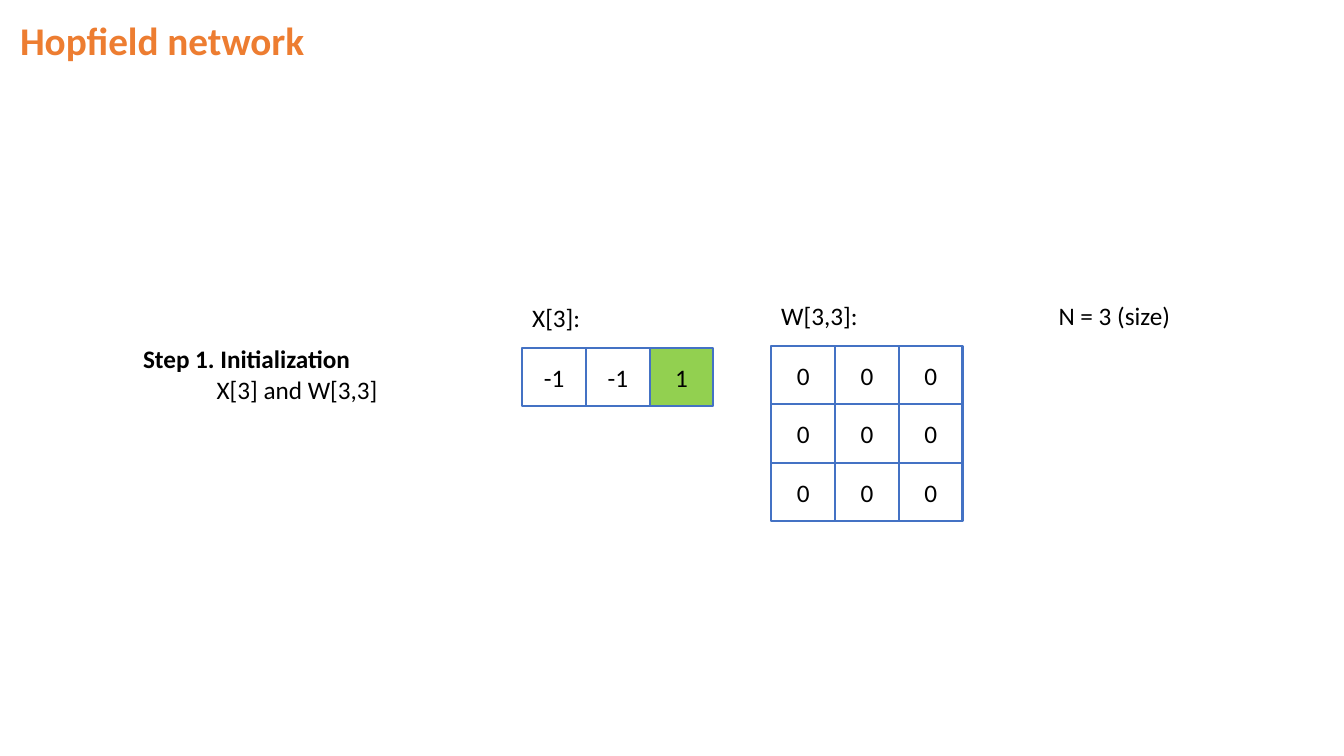
from pptx import Presentation
from pptx.dml.color import RGBColor
from pptx.enum.shapes import MSO_SHAPE as Shape
from pptx.enum.text import MSO_ANCHOR as Anchor, MSO_AUTO_SIZE as Fit, PP_ALIGN as Align
from pptx.util import Inches, Pt

ORANGE = RGBColor(0xED, 0x7D, 0x31)
BLUE = RGBColor(0x44, 0x72, 0xC4)
GREEN = RGBColor(0x92, 0xD0, 0x50)
WHITE = RGBColor(0xFF, 0xFF, 0xFF)
BLACK = RGBColor(0, 0, 0)


def write(para, text, size=18, color=BLACK, bold=False, align=None, indent=0):
    """Put formatted text into a paragraph."""
    run = para.add_run()
    run.text = text
    font = run.font
    font.name, font.size, font.bold = "Calibri", Pt(size), bold
    font.color.rgb = color
    if align is not None:
        para.alignment = align
    if indent:
        para._p.get_or_add_pPr().set("marL", str(Inches(indent)))


class Board:
    cell_w, cell_h = 0.632, 0.58

    def __init__(self, slide):
        self.shapes = slide.shapes

    def label(self, x, y, w, h, *lines, wrap=False):
        """Add a text box; each line is a text and its format."""
        box = self.shapes.add_textbox(Inches(x), Inches(y), Inches(w), Inches(h))
        frame = box.text_frame
        frame.word_wrap = wrap
        frame.auto_size = Fit.SHAPE_TO_FIT_TEXT
        for i, (text, style) in enumerate(lines):
            para = frame.add_paragraph() if i else frame.paragraphs[0]
            write(para, text, **style)

    def cell(self, x, y, value):
        """Add one square, green when its value is positive."""
        box = self.shapes.add_shape(Shape.RECTANGLE, Inches(x), Inches(y),
                                    Inches(self.cell_w), Inches(self.cell_h))
        box.shadow.inherit = False
        box.fill.solid()
        box.fill.fore_color.rgb = GREEN if value > 0 else WHITE
        box.line.color.rgb = BLUE
        box.line.width = Pt(1.5)
        frame = box.text_frame
        frame.vertical_anchor = Anchor.MIDDLE
        write(frame.paragraphs[0], str(value), align=Align.CENTER)

    def grid(self, x, y, rows):
        """Add rows of touching cells."""
        for r, row in enumerate(rows):
            for c, value in enumerate(row):
                self.cell(x + c * self.cell_w, y + r * self.cell_h, value)


def main():
    deck = Presentation()
    deck.slide_width, deck.slide_height = Inches(13.33), Inches(7.5)
    board = Board(deck.slides.add_slide(deck.slide_layouts[6]))

    # Title
    board.label(0.1, 0.11, 3.05, 0.57,
                ("Hopfield network", dict(size=28, color=ORANGE, bold=True)))

    # State vector
    board.grid(5.18, 3.45, [[-1, -1, 1]])
    board.label(5.18, 2.95, 0.68, 0.4, ("X[3]:", {}))

    # Weight matrix
    board.grid(7.65, 3.43, [[0] * 3] * 3)
    board.label(7.65, 2.93, 0.97, 0.4, ("W[3,3]:", {}))

    # Step and network size
    board.label(1.32, 3.36, 3.58, 0.71,
                ("Step 1. Initialization", dict(bold=True)),
                ("X[3] and W[3,3]", dict(indent=0.73)), wrap=True)
    board.label(10.4, 2.93, 1.32, 0.4, ("N = 3 (size)", {}))

    deck.save("out.pptx")


if __name__ == "__main__":
    main()
